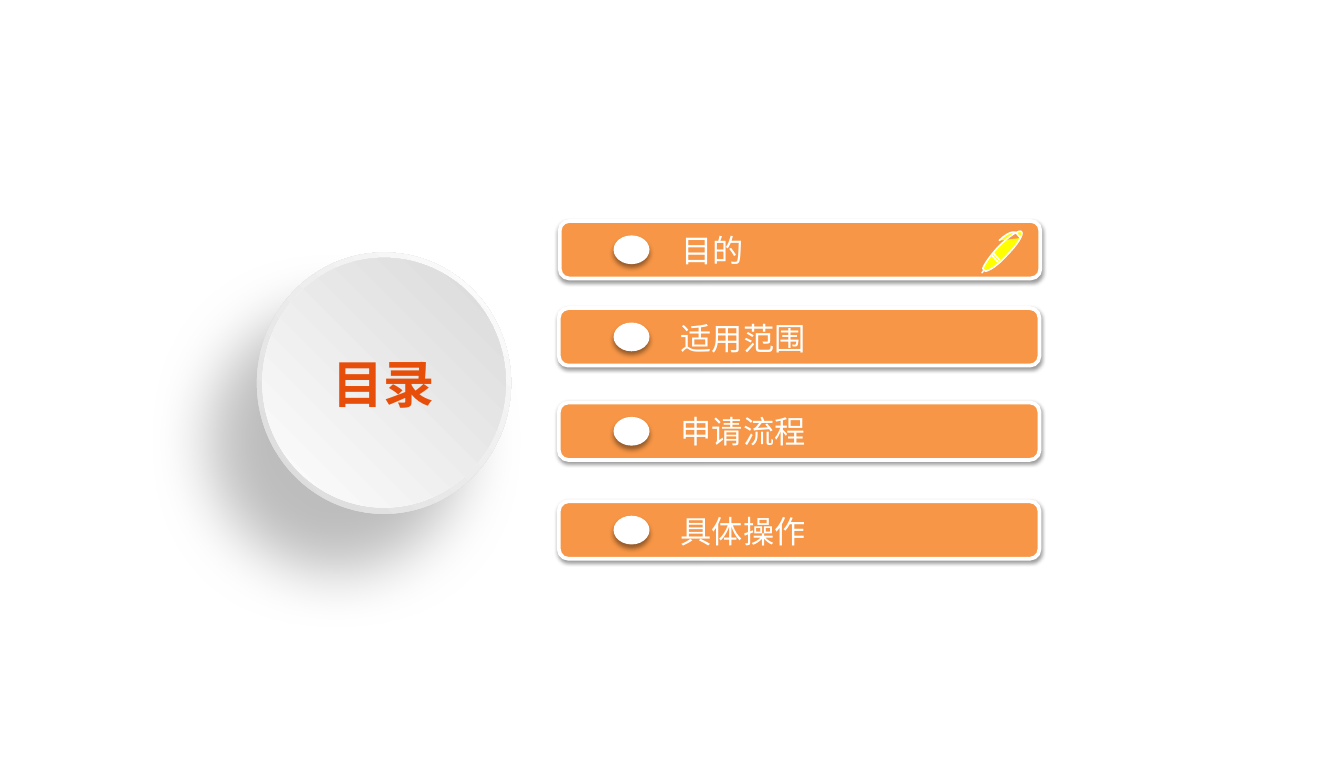
"""Build a contents slide with a round title badge and four topic bars."""
from dataclasses import dataclass

from lxml import etree
from pptx import Presentation
from pptx.dml.color import RGBColor
from pptx.enum.shapes import MSO_SHAPE
from pptx.enum.text import MSO_ANCHOR, MSO_AUTO_SIZE, PP_ALIGN
from pptx.oxml.ns import qn
from pptx.util import Pt

PX = 9144
BLANK_LAYOUT = 6
OVAL = MSO_SHAPE.OVAL
ROUNDED = MSO_SHAPE.ROUNDED_RECTANGLE
MIDDLE, TOP = MSO_ANCHOR.MIDDLE, MSO_ANCHOR.TOP
CENTER, LEFT = PP_ALIGN.CENTER, PP_ALIGN.LEFT
FIT_SHAPE = MSO_AUTO_SIZE.SHAPE_TO_FIT_TEXT


@dataclass(frozen=True)
class Theme:
    """Colours, type sizes, fonts and shadows of the slide."""
    white: str = "FFFFFF"
    near_white: str = "FEFEFE"
    grey: str = "D9D9D9"
    orange: str = "F79646"
    title_red: str = "E74E09"
    pen_yellow: str = "FFFF00"
    shadow: str = "000000"
    title_size: int = 41
    label_size: int = 25
    title_font: str = "Calibri"
    label_font: str = "Noto Sans CJK SC"
    badge_shadow: tuple = (25, 50, 60, 130)
    bar_shadow: tuple = (38, 3.1, 1.6, 90)
    bullet_shadow: tuple = (40, 4, 3, 90)


THEME = Theme()

ROWS = [
    ("目的", 623, 246, 252, (11, 6)),
    ("适用范围", 622, 343, 350, (10, 5)),
    ("申请流程", 622, 448, 454, (10, 5)),
    ("具体操作", 622, 558, 565, (10, 5)),
]

PEN_BODY = [
    (1137, 258),
    [(1135, 255), (1123, 263), (1111, 275)],
    [(1102, 285), (1095, 295), (1094, 299)],
    [(1097, 302)] * 3,
    [(1102, 301), (1111, 295), (1120, 285)],
    [(1132, 273), (1140, 261), (1137, 258)],
]
PEN_STROKES = [
    [(1111, 292), [(1104, 284)] * 3],
    [(1106, 282), [(1113, 290)] * 3],
    [(1095, 301), [(1093, 304)] * 3],
    [(1136, 265), [(1136, 265), (1133, 262), (1131, 259)],
     [(1131, 259), (1125, 255), (1112, 268)]],
]


def px(*lengths):
    """Turn px lengths into EMU."""
    return [round(length * PX) for length in lengths]


def colour(value):
    """Return the RGB colour for a hex string."""
    return RGBColor.from_string(value)


def add_shadow(shape, alpha, blur, distance, angle):
    """Give a shape an outer shadow."""
    effects = shape._element.spPr.find(qn("a:effectLst"))
    outer = etree.SubElement(
        effects, qn("a:outerShdw"), blurRad=str(Pt(blur)), dist=str(Pt(distance)),
        dir=str(angle * 60000), algn="ctr", rotWithShape="0")
    tint = etree.SubElement(outer, qn("a:srgbClr"), val=THEME.shadow)
    etree.SubElement(tint, qn("a:alpha"), val=str(alpha * 1000))


def fill_gradient(shape, colours):
    """Fill a shape with a circular gradient that starts at its top right."""
    shape.fill.gradient()
    for stop, value, position in zip(shape.fill.gradient_stops, colours, (0, 1)):
        stop.color.rgb = colour(value)
        stop.position = position
    gradient = shape._element.spPr.find(qn("a:gradFill"))
    gradient.remove(gradient.find(qn("a:lin")))
    circle = etree.SubElement(gradient, qn("a:path"), path="circle")
    etree.SubElement(circle, qn("a:fillToRect"), l="100000", b="100000")


def style_shape(shape, fill=None, gradient=None, line=None, line_width=0, shadow=None):
    """Set fill, outline and shadow of a shape."""
    shape.shadow.inherit = False
    if gradient:
        fill_gradient(shape, gradient)
    else:
        shape.fill.solid()
        shape.fill.fore_color.rgb = colour(fill)
    if line:
        shape.line.color.rgb = colour(line)
        shape.line.width = Pt(line_width)
    else:
        shape.line.fill.background()
    if shadow:
        add_shadow(shape, *shadow)


def add_preset(slide, kind, box, **style):
    """Add a styled preset shape."""
    shape = slide.shapes.add_shape(kind, *px(*box))
    style_shape(shape, **style)
    return shape


def write_text(shape, text, *, size, font, color, bold=False, align=LEFT,
               anchor=TOP, insets=(10, 5)):
    """Write one formatted line of text into a shape."""
    frame = shape.text_frame
    frame.word_wrap = True
    frame.vertical_anchor = anchor
    horizontal, vertical = px(*insets)
    frame.margin_left = frame.margin_right = horizontal
    frame.margin_top = frame.margin_bottom = vertical
    paragraph = frame.paragraphs[0]
    paragraph.alignment = align
    run = paragraph.add_run()
    run.text = text
    run.font.size = Pt(size)
    run.font.bold = bold
    run.font.name = font
    run.font.color.rgb = colour(color)
    etree.SubElement(run.font._element, qn("a:ea"), typeface=font)


def curve_points(start, curves, steps=8):
    """Return points along a chain of cubic curves."""
    points = []
    for first, second, end in curves:
        for step in range(1, steps + 1):
            t = step / steps
            weights = ((1 - t) ** 3, 3 * t * (1 - t) ** 2, 3 * t * t * (1 - t), t ** 3)
            knots = (start, first, second, end)
            points.append(px(*(sum(weight * knot[axis] for weight, knot in zip(weights, knots))
                               for axis in (0, 1))))
        start = end
    return points


def add_pen(slide):
    """Add the pen icon as one outline with open strokes."""
    start, *curves = PEN_BODY
    builder = slide.shapes.build_freeform(*px(*start))
    builder.add_line_segments(curve_points(start, curves), close=True)
    for start, *curves in PEN_STROKES:
        builder.move_to(*px(*start))
        builder.add_line_segments(curve_points(start, curves), close=False)
    style_shape(builder.convert_to_shape(), fill=THEME.pen_yellow,
                line=THEME.white, line_width=1.25)


def add_badge(slide):
    """Add the round title badge."""
    add_preset(slide, OVAL, (286, 281, 283, 291),
               gradient=(THEME.white, THEME.grey), shadow=THEME.badge_shadow)
    face = add_preset(slide, OVAL, (292, 287, 271, 278),
                      gradient=(THEME.grey, THEME.near_white))
    write_text(face, "目录", size=THEME.title_size, font=THEME.title_font,
               color=THEME.title_red, bold=True, align=CENTER, anchor=MIDDLE,
               insets=(0, 5))


def add_row(slide, label, left, top, label_top, insets):
    """Add one topic bar with its bullet and label."""
    add_preset(slide, ROUNDED, (left, top, 535, 64), fill=THEME.orange,
               line=THEME.white, line_width=3, shadow=THEME.bar_shadow)
    add_preset(slide, OVAL, (683, top + 16, 40, 32), fill=THEME.white,
               shadow=THEME.bullet_shadow)
    box = slide.shapes.add_textbox(*px(748, label_top, 334, 52))
    write_text(box, label, size=THEME.label_size, font=THEME.label_font,
               color=THEME.white, insets=insets)
    box.text_frame.auto_size = FIT_SHAPE


def main():
    """Build and save the slide."""
    presentation = Presentation()
    presentation.slide_width, presentation.slide_height = px(1496, 866)
    slide = presentation.slides.add_slide(presentation.slide_layouts[BLANK_LAYOUT])
    add_badge(slide)
    for row in ROWS:
        add_row(slide, *row)
    add_pen(slide)
    presentation.save("out.pptx")


if __name__ == "__main__":
    main()
